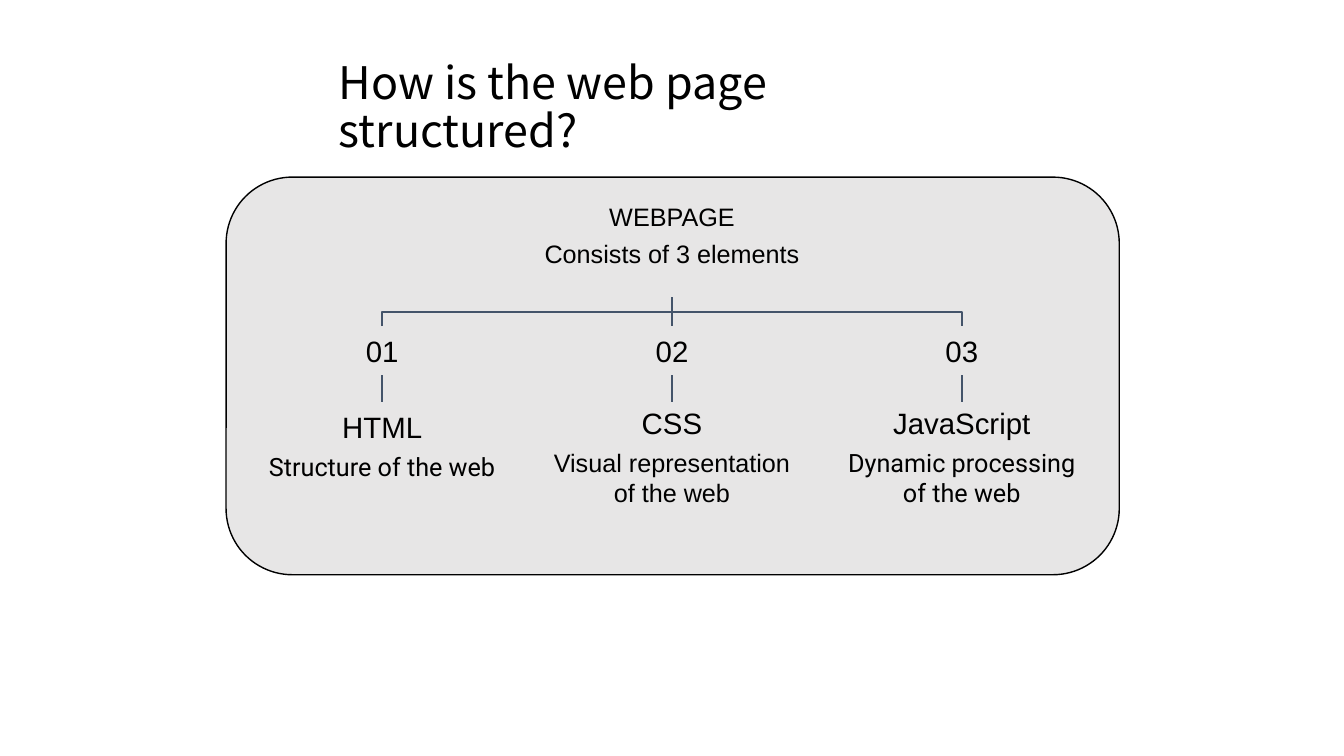
from dataclasses import dataclass

from lxml.etree import SubElement
from pptx import Presentation
from pptx.dml.color import RGBColor
from pptx.enum.shapes import MSO_CONNECTOR, MSO_SHAPE
from pptx.enum.text import MSO_ANCHOR, PP_ALIGN
from pptx.oxml.ns import qn
from pptx.util import Pt


@dataclass(frozen=True)
class Theme:
    ink: RGBColor = RGBColor(0, 0, 0)
    panel: RGBColor = RGBColor(0xE7, 0xE6, 0xE6)
    wire: RGBColor = RGBColor(0x44, 0x54, 0x6A)
    title: int = 32
    head: int = 21
    body: int = 18
    sans: str = "Arial"
    alt: str = "Roboto"
    show: str = "Noto Sans CJK KR"


class Board:
    """Draws styled elements on one slide."""

    def __init__(self, slide, theme):
        self.shapes = slide.shapes
        self.theme = theme

    def panel(self, left, top, width, height):
        box = self.shapes.add_shape(
            MSO_SHAPE.ROUNDED_RECTANGLE, Pt(left), Pt(top), Pt(width), Pt(height))
        box.shadow.inherit = False
        box.fill.solid()
        box.fill.fore_color.rgb = self.theme.panel
        box.line.color.rgb = self.theme.ink
        box.line.width = Pt(1)

    def text(self, words, mid, top, width, height, size, font=None,
             anchor=MSO_ANCHOR.TOP, align=PP_ALIGN.CENTER, space=None):
        box = self.shapes.add_textbox(
            Pt(mid - width / 2), Pt(top), Pt(width), Pt(height))
        frame = box.text_frame
        frame.word_wrap = True
        frame.vertical_anchor = anchor
        frame.margin_left = frame.margin_right = Pt(7.2)
        frame.margin_top = frame.margin_bottom = Pt(7.2)
        frame.text = words
        para = frame.paragraphs[0]
        para.alignment = align
        para.line_spacing = space
        face = para.runs[0].font
        face.size = Pt(size)
        face.name = font or self.theme.sans
        face.color.rgb = self.theme.ink

    def wire(self, start, end, kind=MSO_CONNECTOR.STRAIGHT):
        link = self.shapes.add_connector(kind, *map(Pt, start + end))
        link.line.color.rgb = self.theme.wire
        link.line.width = Pt(1.5)
        SubElement(link.element.spPr, qn("a:effectLst"))
        return link

    def branch(self, mid, top, width, height, flip):
        center = top + height / 2
        near, far = mid - height / 2, mid + height / 2
        if flip:
            near, far = far, near
        link = self.wire((near, center - width / 2), (far, center + width / 2),
                         MSO_CONNECTOR.ELBOW)
        link.element.spPr.find(qn("a:xfrm")).set("rot", "16200000")


def main():
    deck = Presentation()
    deck.slide_width, deck.slide_height = Pt(960), Pt(540)
    theme = Theme()
    board = Board(deck.slides.add_slide(deck.slide_layouts[6]), theme)

    mid, step = 480, 207
    fork, drop = 212.5, 20.5
    board.panel(161.5, 126.5, 638, 284)
    board.text("How is the web page structured?", mid, 36, 490, 49,
               theme.title, theme.show, align=PP_ALIGN.LEFT, space=0.9)
    board.text("WEBPAGE", mid, 137.5, 414, 35, theme.body,
               anchor=MSO_ANCHOR.BOTTOM)
    board.text("Consists of 3 elements", mid, 163, 414, 50, theme.body)

    board.branch(mid - step / 2, fork, step, drop, False)
    board.wire((mid, fork), (mid, fork + drop))
    board.branch(mid + step / 2, fork, step, drop, True)

    parts = [
        ("HTML", "Structure of the web", theme.alt, 289.5),
        ("CSS", "Visual representation of the web", theme.sans, 287),
        ("JavaScript", "Dynamic processing of the web", theme.alt, 287),
    ]
    for spot, (name, role, font, top) in enumerate(parts):
        x = mid + (spot - 1) * step
        board.text(f"{spot + 1:02}", x, 233, 76, 35, theme.head,
                   anchor=MSO_ANCHOR.MIDDLE)
        board.wire((x, 268), (x, 287))
        board.text(name, x, top, 194, 35, theme.head, anchor=MSO_ANCHOR.BOTTOM)
        board.text(role, x, top + 25.5, 194, 50, theme.body, font)

    deck.save("out.pptx")


if __name__ == "__main__":
    main()
